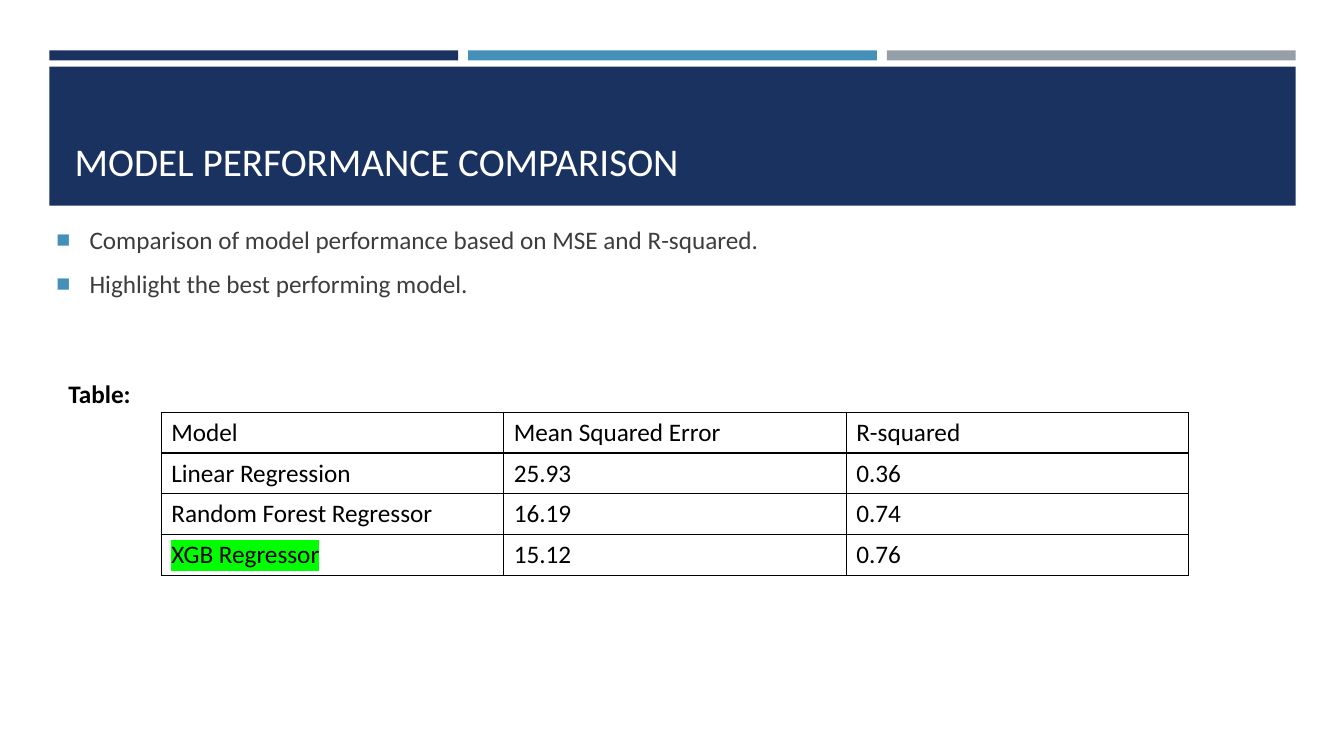
import dataclasses

import pptx
import pptx.dml.color
import pptx.enum.shapes
import pptx.enum.text
import pptx.oxml
import pptx.oxml.ns
import pptx.util

Inches = pptx.util.Inches
Anchor = pptx.enum.text.MSO_ANCHOR
qn = pptx.oxml.ns.qn


@dataclasses.dataclass(frozen=True)
class Theme:
    font: str = "Calibri"
    navy: str = "1A3260"
    blue: str = "4590B8"
    gray: str = "969FA7"
    body: str = "3D3D3D"
    black: str = "000000"
    white: str = "FFFFFF"
    highlight: str = "00FF00"
    title_size: int = 28
    body_size: int = 18


THEME = Theme()
ROWS = [
    ["Model", "Mean Squared Error", "R-squared"],
    ["Linear Regression", "25.93", "0.36"],
    ["Random Forest Regressor", "16.19", "0.74"],
    ["XGB Regressor", "15.12", "0.76"],
]
BEST_MODEL = "XGB Regressor"
POINTS = [
    "Comparison of model performance based on MSE and R-squared.",
    "Highlight the best performing model.",
]


def rgb(color):
    return pptx.dml.color.RGBColor.from_string(color)


def apply(target, values):
    for name, value in values.items():
        setattr(target, name, value)


def xml(tag, attributes, inner=""):
    namespace = pptx.oxml.ns.nsdecls("a")
    return pptx.oxml.parse_xml(f"<a:{tag} {namespace} {attributes}>{inner}</a:{tag}>")


def solid(color):
    return f'<a:solidFill><a:srgbClr val="{color}"/></a:solidFill>'


def write(para, text, color, size=THEME.body_size, bold=False):
    span = para.add_run()
    span.text = text
    apply(span.font, {"name": THEME.font, "size": pptx.util.Pt(size), "bold": bold})
    span.font.color.rgb = rgb(color)
    return span


def add_bar(page, box, color):
    bar = page.shapes.add_shape(
        pptx.enum.shapes.MSO_SHAPE.RECTANGLE, *map(Inches, box))
    bar.shadow.inherit = False
    bar.fill.solid()
    bar.fill.fore_color.rgb = rgb(color)
    bar.line.fill.background()


def add_header(page, box):
    left, top, width, height = box
    gap = 0.1
    bar_width = (width - 2 * gap) / 3
    for index, color in enumerate([THEME.navy, THEME.blue, THEME.gray]):
        add_bar(page, (left + index * (bar_width + gap), top, bar_width, 0.1), color)
    add_bar(page, (left, top + 0.16, width, height - 0.16), THEME.navy)

    title = page.shapes.title
    apply(title, {"left": Inches(left + 0.15), "top": Inches(top + 0.3),
                  "width": Inches(width - 0.3), "height": Inches(1.08)})
    apply(title.text_frame, {"vertical_anchor": Anchor.BOTTOM, "word_wrap": True})
    para = title.text_frame.paragraphs[0]
    para.alignment = pptx.enum.text.PP_ALIGN.LEFT
    write(para, "MODEL PERFORMANCE COMPARISON", THEME.white, THEME.title_size)
    title.element.getparent().append(title.element)


def add_points(page, box):
    frame = page.shapes.add_textbox(*map(Inches, box)).text_frame
    apply(frame, {"word_wrap": True, "margin_top": 0, "margin_bottom": 0})
    for index, text in enumerate(POINTS):
        para = frame.add_paragraph() if index else frame.paragraphs[0]
        write(para, text, THEME.body)
        para.space_after = pptx.util.Pt(9.6)
        properties = para._p.get_or_add_pPr()
        properties.set("marL", str(Inches(0.33)))
        properties.set("indent", str(-Inches(0.33)))
        properties.append(xml("buClr", "", f'<a:srgbClr val="{THEME.blue}"/>'))
        properties.append(xml("buSzPct", 'val="92000"'))
        properties.append(xml("buFont", 'typeface="Arial"'))
        properties.append(xml("buChar", 'char="■"'))


def add_label(page, box):
    frame = page.shapes.add_textbox(*map(Inches, box)).text_frame
    frame.word_wrap = True
    write(frame.paragraphs[0], "Table:", THEME.black, bold=True)


def format_cell(cell, text):
    cell.vertical_anchor = Anchor.MIDDLE
    cell.fill.background()
    span = write(cell.text_frame.paragraphs[0], text, THEME.black)
    if text == BEST_MODEL:
        mark = xml("highlight", "", f'<a:srgbClr val="{THEME.highlight}"/>')
        span.font._element.find(qn("a:latin")).addprevious(mark)
    properties = cell._tc.get_or_add_tcPr()
    for index, side in enumerate(["lnL", "lnR", "lnT", "lnB"]):
        width = pptx.util.Pt(1)
        properties.insert(index, xml(side, f'w="{width}"', solid(THEME.black)))


def add_scores(page, box):
    table = page.shapes.add_table(len(ROWS), len(ROWS[0]), *map(Inches, box)).table
    apply(table, {"first_row": False, "horz_banding": False})
    for row, texts in enumerate(ROWS):
        for column, text in enumerate(texts):
            format_cell(table.cell(row, column), text)


def main():
    deck = pptx.Presentation()
    apply(deck, {"slide_width": Inches(13.33), "slide_height": Inches(7.5)})
    page = deck.slides.add_slide(deck.slide_layouts.get_by_name("Title Only"))
    add_header(page, (0.49, 0.5, 12.36, 1.54))
    add_points(page, (0.46, 2.23, 12.15, 1.08))
    add_scores(page, (1.6, 4.09, 10.19, 1.62))
    add_label(page, (0.58, 3.7, 3, 0.4))
    deck.save("out.pptx")


if __name__ == "__main__":
    main()
